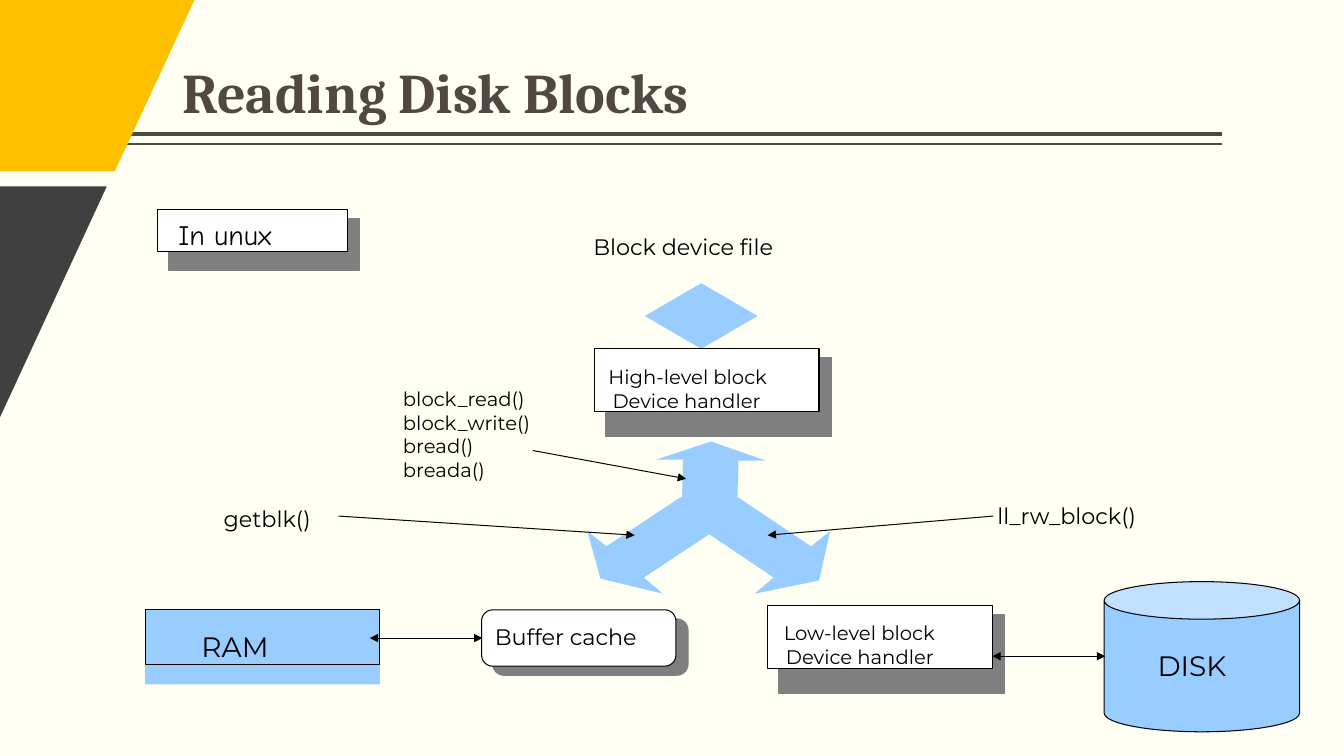
from dataclasses import dataclass

from lxml import etree
from pptx import Presentation
from pptx.dml.color import RGBColor
from pptx.enum.shapes import MSO_CONNECTOR, MSO_SHAPE
from pptx.enum.text import MSO_ANCHOR, MSO_AUTO_SIZE, PP_ALIGN
from pptx.oxml.ns import qn
from pptx.util import Inches, Pt

STRAIGHT = MSO_CONNECTOR.STRAIGHT
RECTANGLE = MSO_SHAPE.RECTANGLE
ROUNDED = MSO_SHAPE.ROUNDED_RECTANGLE
CYLINDER = MSO_SHAPE.CAN
DOUBLE_ARROW = MSO_SHAPE.UP_DOWN_ARROW
TOP, BOTTOM = MSO_ANCHOR.TOP, MSO_ANCHOR.BOTTOM
LEFT = PP_ALIGN.LEFT
NO_AUTOFIT = MSO_AUTO_SIZE.NONE


@dataclass(frozen=True)
class Theme:
    """Colours, fonts and type sizes of the slide."""
    paper: str = "FFFFF3"
    brown: str = "514843"
    amber: str = "FFC000"
    charcoal: str = "404040"
    sky: str = "99CCFF"
    shade: str = "7F7F7F"
    white: str = "FFFFFF"
    ink: str = "000000"
    title_font: str = "Cambria"
    body_font: str = "Montserrat"
    tag_font: str = "Comic Neue"
    title: int = 40
    large: int = 20
    medium: int = 16
    small: int = 14
    outline: float = 0.75


THEME = Theme()


@dataclass(frozen=True)
class Box:
    """A rectangle in inches."""
    x: float
    y: float
    w: float
    h: float

    def inner(self, dx, dy, w, h):
        """Return a box placed relative to this one."""
        return Box(self.x + dx, self.y + dy, w, h)

    def point(self, dx, dy):
        """Return an absolute point in slide units."""
        return Inches(self.x + dx), Inches(self.y + dy)

    def frame(self):
        """Return left, top, width and height in slide units."""
        return Inches(self.x), Inches(self.y), Inches(self.w), Inches(self.h)


def write_text(target, text, size=THEME.medium, font=THEME.body_font, color=THEME.ink,
               bold=False, anchor=TOP, top=0.01, bottom=0, margin=0.01, hanging=0, spacing=None):
    """Write formatted left-aligned text into a shape; \\v breaks a line."""
    frame = target.text_frame
    frame.word_wrap, frame.auto_size = True, NO_AUTOFIT
    frame.vertical_anchor = anchor
    frame.margin_left = frame.margin_right = 0
    frame.margin_top, frame.margin_bottom = Inches(top), Inches(bottom)
    paragraph = frame.paragraphs[0]
    paragraph.text = text
    paragraph.alignment, paragraph.line_spacing = LEFT, spacing
    properties = paragraph._p.get_or_add_pPr()
    properties.set("marL", str(Inches(margin)))
    properties.set("indent", str(Inches(hanging)))
    for run in paragraph.runs:
        run.font.name, run.font.size, run.font.bold = font, Pt(size), bold
        run.font.color.rgb = RGBColor.from_string(color)


def paint(shape, fill=None, line=None):
    """Set the fill and outline of a shape and drop its shadow."""
    shape.shadow.inherit = False
    if fill:
        shape.fill.solid()
        shape.fill.fore_color.rgb = RGBColor.from_string(fill)
    else:
        shape.fill.background()
    if line:
        shape.line.color.rgb = RGBColor.from_string(line)
        shape.line.width = Pt(THEME.outline)
    else:
        shape.line.fill.background()
    return shape


def add_preset(slide, kind, box, fill=None, line=None, adjustments=()):
    """Add a painted preset shape."""
    shape = slide.shapes.add_shape(kind, *box.frame())
    for index, value in enumerate(adjustments):
        shape.adjustments[index] = value
    return paint(shape, fill, line)


def add_polygon(slide, box, points, fill):
    """Add a closed polygon whose points are relative to a box."""
    start, *rest = [box.point(*point) for point in points]
    builder = slide.shapes.build_freeform(*start)
    builder.add_line_segments(rest, close=True)
    return paint(builder.convert_to_shape(), fill)


def add_label(slide, box, text, **style):
    """Add a text box."""
    write_text(slide.shapes.add_textbox(*box.frame()), text, **style)


def add_line(slide, start, end, color=THEME.ink, width=0.71, heads=()):
    """Add a straight line with optional arrowheads."""
    line = slide.shapes.add_connector(STRAIGHT, *start, *end)
    line.line.color.rgb = RGBColor.from_string(color)
    line.line.width = Pt(width)
    outline = line.line._get_or_add_ln()
    for head in heads:
        etree.SubElement(outline, qn(f"a:{head}"), type="triangle", w="med", len="med")
    etree.SubElement(line._element.spPr, qn("a:effectLst"))


def add_shadowed_box(slide, box, text, extra=0.16, kind=RECTANGLE, adjustments=(), **style):
    """Add a white labelled box over an offset grey block."""
    block = box.inner(0.11, 0.09, box.w + 0.01, box.h + extra)
    add_preset(slide, kind, block, THEME.shade, THEME.shade, adjustments)
    face = add_preset(slide, kind, box, THEME.white, THEME.ink, adjustments)
    write_text(face, text, **style)


def draw_header(slide, box):
    """Draw the title above its double rule."""
    for dy, width in ((1.33, 3), (1.43, 1)):
        add_line(slide, box.point(box.w, dy), box.point(0, dy), THEME.brown, width)
    title = slide.shapes.title
    title.left, title.top, title.width, title.height = box.inner(0.6, 0, 10.25, 1.3).frame()
    write_text(title, "Reading Disk Blocks", size=THEME.title, font=THEME.title_font,
               color=THEME.brown, bold=True, anchor=BOTTOM, top=0.05, bottom=0.05,
               margin=0, spacing=0.9)


def draw_corner(slide, box):
    """Draw the slanted corner blocks."""
    add_polygon(slide, box, [(0, 0), (box.w, 0), (1.14, 1.7), (0, 1.7)], THEME.amber)
    add_polygon(slide, box, [(0, 1.85), (1.06, 1.85), (0, box.h)], THEME.charcoal)


def draw_device_file(slide, box):
    """Draw the device file, its arrow and the high-level handler."""
    add_label(slide, box.inner(0, 0, 2.16, 0.28), "Block device file")
    add_preset(slide, DOUBLE_ARROW, box.inner(0.52, 0.51, 1.12, 0.65), THEME.sky,
               adjustments=(0.5, 0.2))
    add_shadowed_box(slide, box.inner(0.02, 1.16, 2.23, 0.62),
                     "High-level block\vDevice handler", size=THEME.small,
                     top=0.16, margin=0.18, hanging=-0.04)


def draw_calls(slide, box):
    """Draw the three-way arrow and the calls pointing at it."""
    branches = [(2.41, 0.89), (2.22, 1.04), (1.49, 0.55), (1.5, 0.19), (1.77, 0.19),
                (1.23, 0), (0.68, 0.18), (0.95, 0.18), (0.94, 0.56), (0.93, 0.55),
                (0.19, 1.04), (0, 0.89), (0.13, 1.36), (0.75, 1.51), (0.56, 1.35),
                (1.21, 0.92), (1.85, 1.35), (1.66, 1.51), (2.3, 1.38)]
    add_polygon(slide, box.inner(3.62, 0.55, 2.41, 1.51), branches, THEME.sky)
    add_label(slide, box.inner(1.78, 0, 1.5, 0.95),
              "block_read()\vblock_write()\vbread()\vbreada()", size=THEME.small)
    add_label(slide, box.inner(0, 1.17, 1.02, 0.28), "getblk()")
    add_label(slide, box.inner(7.68, 1.14, 1.67, 0.28), "ll_rw_block()")
    for start, end in (((3.08, 0.64), (4.6, 0.92)), ((1.15, 1.29), (4.09, 1.48)),
                       ((7.65, 1.29), (5.41, 1.48))):
        add_line(slide, box.point(*start), box.point(*end), heads=("tailEnd",))


def draw_storage(slide, box):
    """Draw memory, buffer cache, low-level handler and disk."""
    add_preset(slide, RECTANGLE, box.inner(0, 0.28, 2.33, 0.74), THEME.sky)
    memory = add_preset(slide, RECTANGLE, box.inner(0, 0.28, 2.33, 0.54), line=THEME.ink)
    write_text(memory, "RAM", size=THEME.large, top=0.2, margin=0.56)
    add_shadowed_box(slide, box.inner(3.34, 0.28, 1.93, 0.56), "Buffer cache", extra=0,
                     kind=ROUNDED, adjustments=(0.2,), top=0.1, margin=0.1)
    add_shadowed_box(slide, box.inner(6.18, 0.24, 2.23, 0.62),
                     "Low-level block\vDevice handler", size=THEME.small,
                     top=0.15, margin=0.18, hanging=-0.02)
    add_preset(slide, CYLINDER, box.inner(9.52, 0, 1.94, box.h), THEME.sky, THEME.ink, (0.25,))
    add_label(slide, box.inner(10.04, 0.65, 0.9, 0.35), "DISK", size=THEME.large)
    for left, right, dy in ((2.23, 3.35, 0.56), (8.41, 9.53, 0.74)):
        add_line(slide, box.point(left, dy), box.point(right, dy), heads=("headEnd", "tailEnd"))


def main():
    """Build and save the slide."""
    deck = Presentation()
    deck.slide_width, deck.slide_height = Inches(13.34), Inches(7.5)
    slide = deck.slides.add_slide(deck.slide_layouts[5])
    slide.background.fill.solid()
    slide.background.fill.fore_color.rgb = RGBColor.from_string(THEME.paper)
    draw_header(slide, Box(1.21, 0, 10.92, 1.43))
    draw_corner(slide, Box(0, 0, 1.93, 4.14))
    add_shadowed_box(slide, Box(1.56, 2.08, 1.89, 0.42), "In unux", extra=0.09,
                     size=THEME.large, font=THEME.tag_font, top=0.08, margin=0.21)
    draw_device_file(slide, Box(5.88, 2.3, 2.36, 2.03))
    draw_calls(slide, Box(2.21, 3.83, 9.35, 2.06))
    draw_storage(slide, Box(1.44, 5.77, 11.46, 1.49))
    deck.save("out.pptx")


if __name__ == "__main__":
    main()
